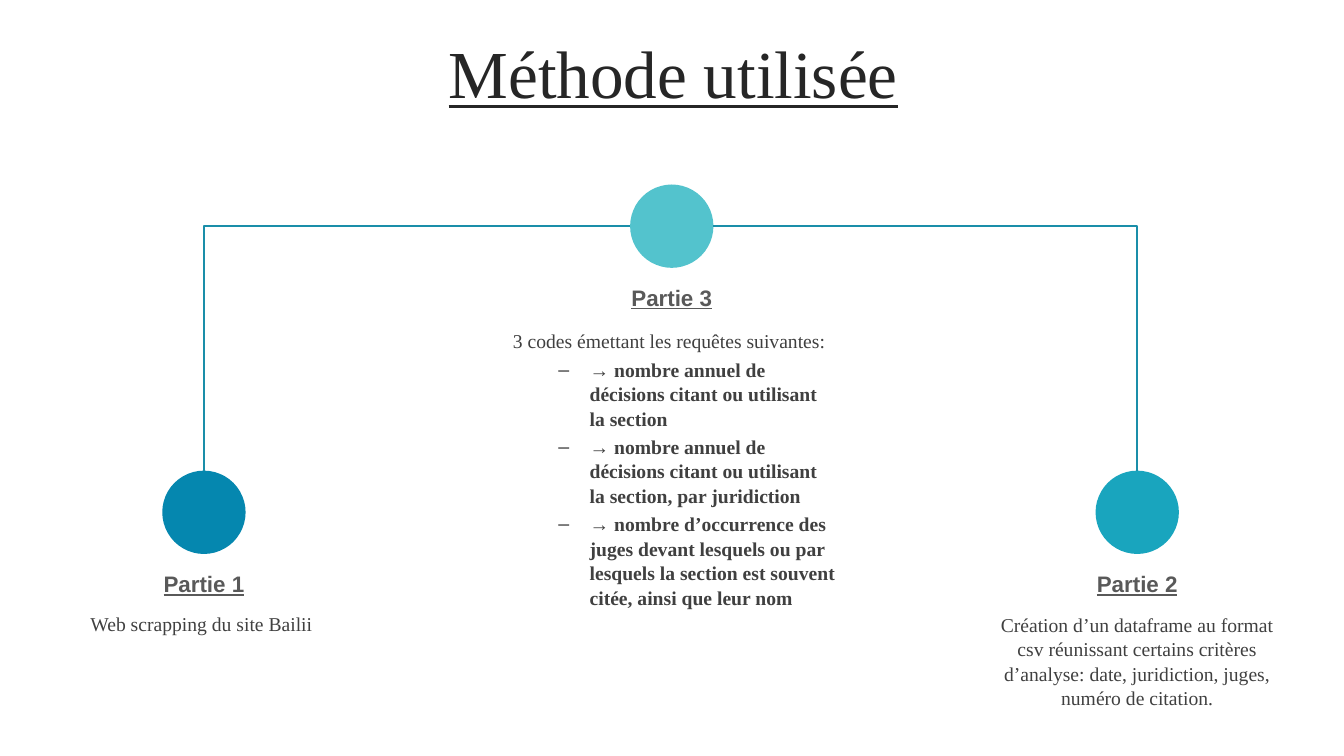
from lxml import etree
from pptx import Presentation
from pptx.dml.color import RGBColor
from pptx.enum import shapes, text
from pptx.oxml.ns import qn
from pptx.util import Cm, Pt

TITLE = "Méthode utilisée"
# Centre of the circle, width of the texts, gap to and height of the body: in cm
PARTS = [
    dict(heading="Partie 1", color=RGBColor(0x05, 0x87, 0xAF),
         center=(5.14, 12.91), width=7.87, body_gap=2.36, body_height=1.93,
         intro="Web scrapping du site Bailii ", queries=[]),
    dict(heading="Partie 2", color=RGBColor(0x19, 0xA5, 0xBE),
         center=(28.66, 12.91), width=7.8, body_gap=2.38, body_height=1.9,
         intro="Création d’un dataframe au format csv réunissant certains critères "
               "d’analyse: date, juridiction, juges, numéro de citation.",
         queries=[]),
    dict(heading="Partie 3", color=RGBColor(0x53, 0xC3, 0xCD),
         center=(16.93, 5.7), width=8.76, body_gap=2.45, body_height=6.45,
         intro="3 codes émettant les requêtes suivantes: ",
         queries=[
             "→ nombre annuel de décisions citant ou utilisant la section",
             "→ nombre annuel de décisions citant ou utilisant la section, par juridiction",
             "→ nombre d’occurrence des juges devant lesquels ou par lesquels "
             "la section est souvent citée, ainsi que leur nom",
         ]),
]
TITLE_COLOR = RGBColor(0x26, 0x26, 0x26)
HEADING_COLOR = RGBColor(0x59, 0x59, 0x59)
BODY_COLOR = RGBColor(0x40, 0x40, 0x40)
LINE_COLOR = RGBColor(0x1A, 0x8E, 0xA9)
SERIF, SANS = "Times New Roman", "Arial"
DIAMETER = 2.1
HEADING_GAP, HEADING_HEIGHT = 1.33, 0.76


def add_text(left, top, width, height, lines):
    box = slide.shapes.add_textbox(Cm(left), Cm(top), Cm(width), Cm(height))
    frame = box.text_frame
    frame.word_wrap = True
    frame.text = "\n".join(lines)
    return frame


def format_text(paragraph, font_name, size, color, bold=False, underline=False,
                align=text.PP_ALIGN.CENTER):
    paragraph.alignment = align
    for run in paragraph.runs:
        font = run.font
        font.name, font.size, font.bold, font.underline = font_name, Pt(size), bold, underline
        font.color.rgb = color


def add_dash(paragraph):
    paragraph.level = 1
    properties = paragraph._p.get_or_add_pPr()
    properties.set("marL", str(Cm(2.06)))
    properties.set("indent", str(-Cm(0.79)))
    etree.SubElement(properties, qn("a:buFont"), typeface=SANS)
    etree.SubElement(properties, qn("a:buChar"), char="–")


def add_part(part):
    x, y = part["center"]
    circle = slide.shapes.add_shape(
        shapes.MSO_SHAPE.OVAL, Cm(x - DIAMETER / 2), Cm(y - DIAMETER / 2),
        Cm(DIAMETER), Cm(DIAMETER))
    circle.shadow.inherit = False
    circle.fill.solid()
    circle.fill.fore_color.rgb = part["color"]
    circle.line.fill.background()

    left, width = x - part["width"] / 2, part["width"]
    heading = add_text(left, y + HEADING_GAP, width, HEADING_HEIGHT, [part["heading"]])
    format_text(heading.paragraphs[0], SANS, 16, HEADING_COLOR, bold=True, underline=True)

    body = add_text(left, y + part["body_gap"], width, part["body_height"],
                    [part["intro"], *part["queries"]])
    intro, *queries = body.paragraphs
    format_text(intro, SERIF, 14, BODY_COLOR)
    for query in queries:
        add_dash(query)
        query.space_before = Pt(2.8)
        format_text(query, SERIF, 14, BODY_COLOR, bold=True, align=text.PP_ALIGN.LEFT)
    for paragraph in body.paragraphs:
        paragraph.line_spacing = 1.04


def add_elbow(start, end):
    """Draw a line that runs sideways from start, then straight down to end."""
    elbow = slide.shapes.add_connector(
        shapes.MSO_CONNECTOR.ELBOW, *(Cm(length) for length in (*start, *end)))
    elbow.line.color.rgb = LINE_COLOR
    elbow.line.width = Pt(1.75)
    properties = elbow._element.spPr
    properties.find(qn("a:prstGeom")).set("prst", "bentConnector2")
    etree.SubElement(properties, qn("a:effectLst"))


presentation = Presentation()
presentation.slide_width, presentation.slide_height = Cm(33.87), Cm(19.05)
slide = presentation.slides.add_slide(presentation.slide_layouts[6])

title = add_text(0.89, 0.94, 32.16, 2.01, [TITLE])
title.vertical_anchor = text.MSO_ANCHOR.MIDDLE
title.paragraphs[0].line_spacing = 0.9
format_text(title.paragraphs[0], SERIF, 48, TITLE_COLOR, underline=True)

for part in PARTS:
    add_part(part)

first, second, third = (part["center"] for part in PARTS)
for side, (x, y) in ((-1, first), (1, second)):
    add_elbow((third[0] + side * DIAMETER / 2, third[1]), (x, y - DIAMETER / 2))

presentation.save("out.pptx")
